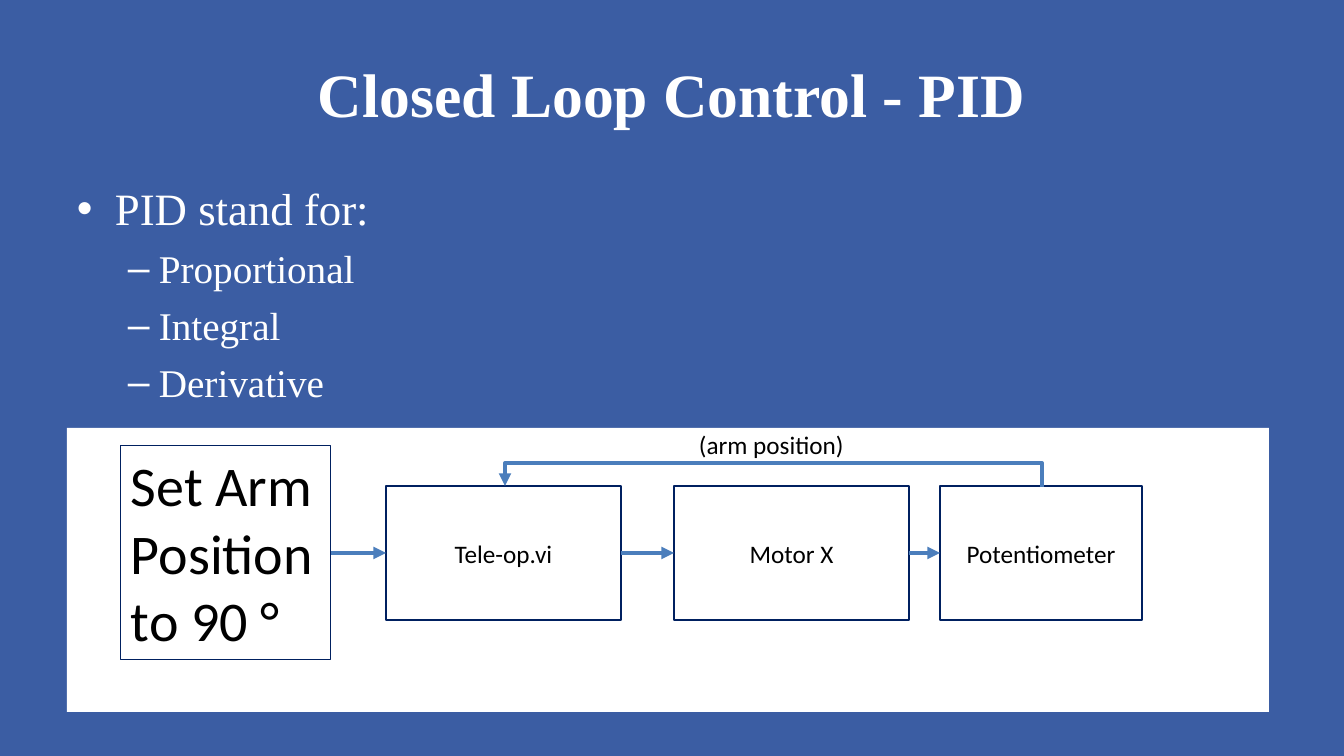
from dataclasses import dataclass

from lxml.etree import SubElement
from pptx import Presentation
from pptx.dml.color import RGBColor as Color
from pptx.enum.shapes import MSO_CONNECTOR as Link, MSO_SHAPE as Shape
from pptx.enum.text import MSO_ANCHOR as Anchor, PP_ALIGN as Align
from pptx.oxml.ns import qn
from pptx.util import Pt

SCALE = 914400 / 100.8


@dataclass(frozen=True)
class Theme:
    back: str = "3B5DA3"
    white: str = "FFFFFF"
    ink: str = "000000"
    edge: str = "002060"
    arrow: str = "4B7EBC"
    serif: str = "Times New Roman"
    sans: str = "Calibri"
    title: int = 44
    lead: int = 32
    item: int = 28
    goal: int = 40
    label: int = 18


theme = Theme()


def px(*sizes):
    """Turn px lengths into a list of EMU."""
    return [round(size * SCALE) for size in sizes]


def write(para, text, size, font=theme.sans, color=theme.ink, bold=False, align=Align.LEFT):
    para.alignment = align
    run = para.add_run()
    run.text = text
    run.font.size = Pt(size)
    run.font.name = font
    run.font.bold = bold
    run.font.color.rgb = Color.from_string(color)


deck = Presentation()
deck.slide_width, deck.slide_height = px(1344, 756)
slide = deck.slides.add_slide(deck.slide_layouts[5])
fill = slide.background.fill
fill.solid()
fill.fore_color.rgb = Color.from_string(theme.back)
shapes = slide.shapes

# Title
title = shapes.title
title.left, title.top, title.width, title.height = px(67, 30, 1210, 126)
title.text_frame.vertical_anchor = Anchor.MIDDLE
write(title.text_frame.paragraphs[0], "Closed Loop Control - PID", theme.title,
      font=theme.serif, color=theme.white, bold=True, align=Align.CENTER)

# Bullet list: text, level, size, left margin, hanging indent, bullet, space before
items = [("PID stand for:", 0, theme.lead, 38, 38, "•", 6)]
for word in ("Proportional", "Integral", "Derivative"):
    items.append((word, 1, theme.item, 82, 31, "–", 7))
body = shapes.add_textbox(*px(67, 176, 1210, 499)).text_frame
body.word_wrap = True
for i, (text, level, size, left, hang, mark, gap) in enumerate(items):
    para = body.add_paragraph() if i else body.paragraphs[0]
    para.level = level
    para.space_before = Pt(gap)
    write(para, text, size, font=theme.serif, color=theme.white)
    props = para._p.get_or_add_pPr()
    margin, indent = px(left, -hang)
    props.set("marL", str(margin))
    props.set("indent", str(indent))
    SubElement(props, qn("a:buFont"), typeface="Arial")
    SubElement(props, qn("a:buChar"), char=mark)

# White panel
panel = shapes.add_shape(Shape.RECTANGLE, *px(67, 428, 1202, 284))
panel.shadow.inherit = False
panel.fill.solid()
panel.fill.fore_color.rgb = Color.from_string(theme.white)
panel.line.fill.background()

# Boxes of the loop: text, left, top, width, height, size, line, anchor, alignment
stages = [("Set Arm Position to 90 °", 121, 446, 210, 214, theme.goal, 0.75, Anchor.TOP, Align.LEFT)]
for text, left, width in (("Tele-op.vi", 386, 235), ("Motor X", 674, 235), ("Potentiometer", 940, 202)):
    stages.append((text, left, 486, width, 134, theme.label, 2, Anchor.MIDDLE, Align.CENTER))
boxes = []
for text, left, top, width, height, size, weight, anchor, align in stages:
    box = shapes.add_shape(Shape.RECTANGLE, *px(left, top, width, height))
    box.shadow.inherit = False
    box.fill.solid()
    box.fill.fore_color.rgb = Color.from_string(theme.white)
    box.line.color.rgb = Color.from_string(theme.edge)
    box.line.width = Pt(weight)
    box.text_frame.word_wrap = True
    box.text_frame.vertical_anchor = anchor
    write(box.text_frame.paragraphs[0], text, size, align=align)
    boxes.append(box)

# Forward arrows
links = []
for start, end in zip(boxes, boxes[1:]):
    link = shapes.add_connector(Link.STRAIGHT, 0, 0, 0, 0)
    link.begin_connect(start, 3)
    link.end_connect(end, 1)
    links.append(link)

# Feedback arrow: an upright elbow turned by 270 degrees, bending 24 px above the boxes
loop = shapes.add_connector(Link.ELBOW, *px(773, 755, 774, 218))
frame = loop._element.spPr
frame.find(qn("a:xfrm")).set("rot", str(270 * 60000))
guides = frame.find(qn("a:prstGeom")).find(qn("a:avLst"))
SubElement(guides, qn("a:gd"), name="adj1", fmla="val 2400000")
links.append(loop)

for link in links:
    link.line.color.rgb = Color.from_string(theme.arrow)
    link.line.width = Pt(3)
    props = link._element.spPr
    SubElement(props.find(qn("a:ln")), qn("a:tailEnd"), type="triangle")
    SubElement(props, qn("a:effectLst"))

# Feedback label
label = shapes.add_textbox(*px(689, 424, 168, 40)).text_frame
label.word_wrap = True
write(label.paragraphs[0], "(arm position)", theme.label)

deck.save("out.pptx")
